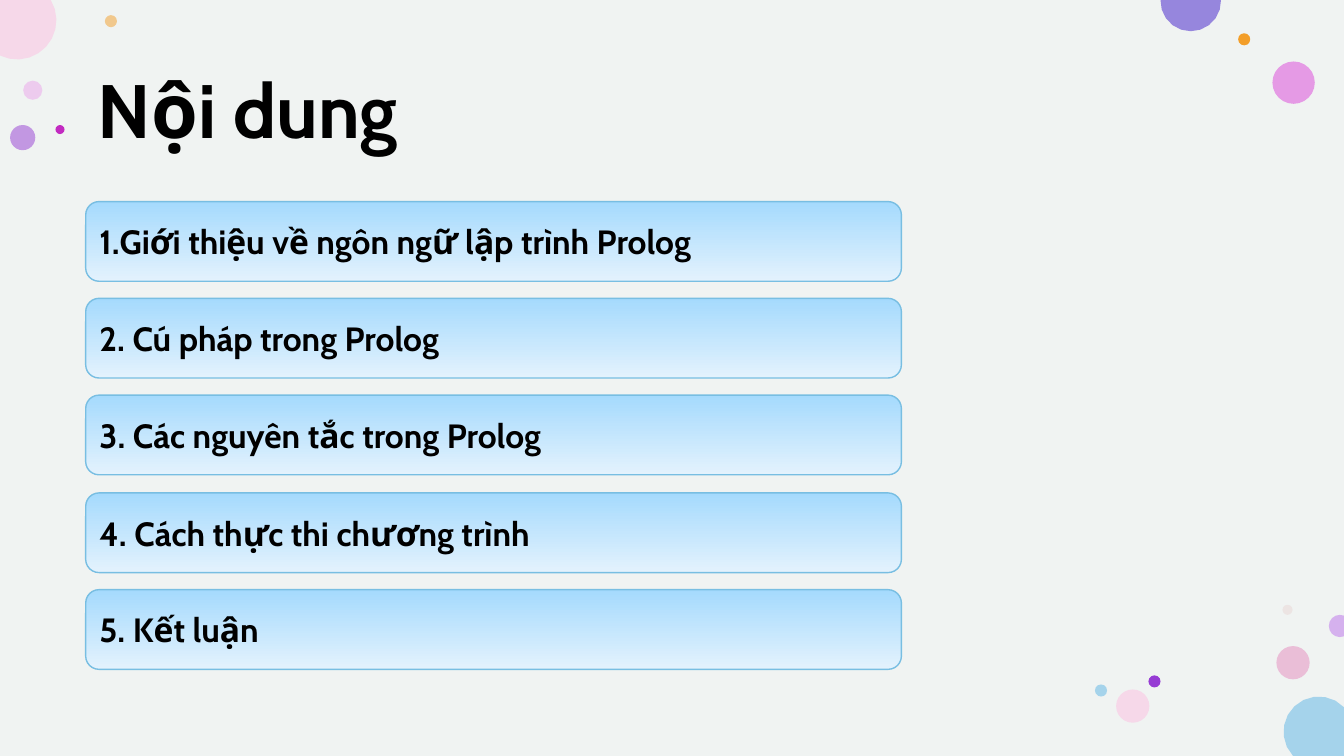
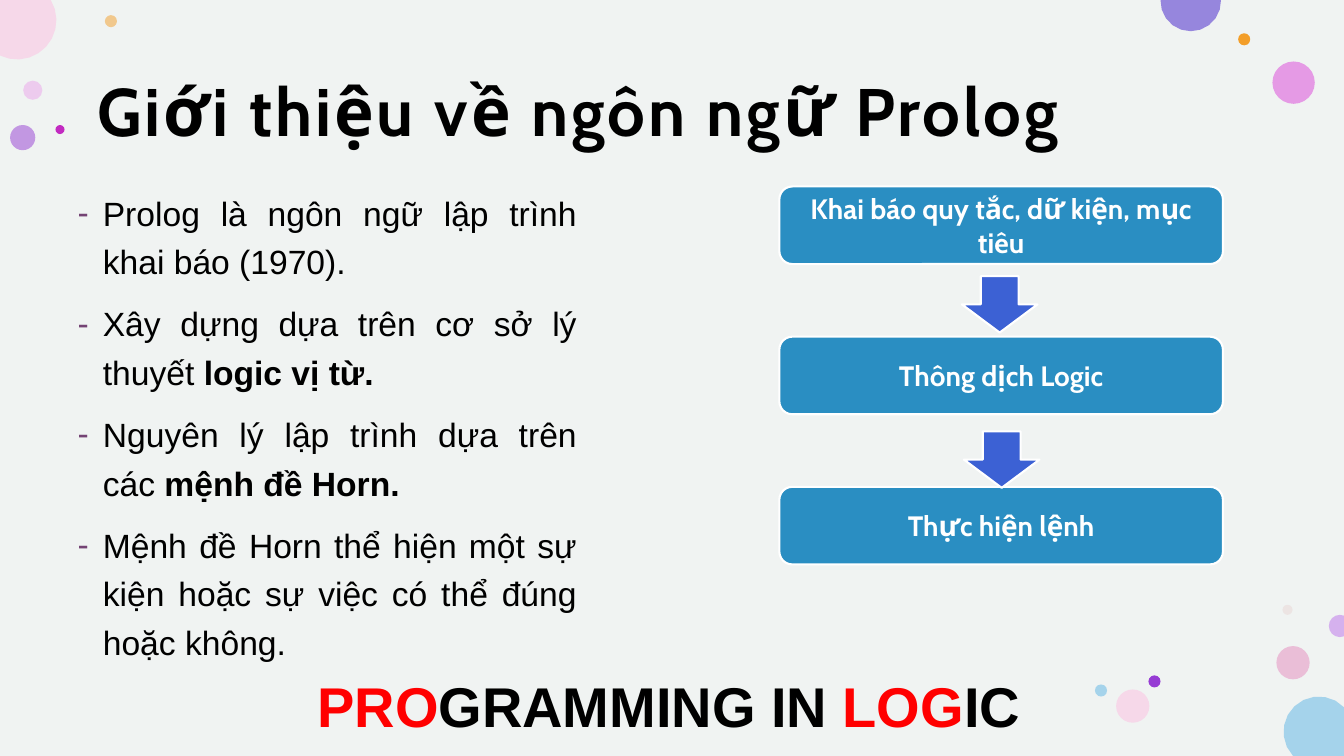
import math

import pptx
import pptx.dml.color
import pptx.enum.shapes
import pptx.enum.text
import pptx.oxml.ns
import pptx.util
from lxml import etree

SHAPE = pptx.enum.shapes.MSO_SHAPE
ALIGN = pptx.enum.text.PP_ALIGN
ANCHOR = pptx.enum.text.MSO_ANCHOR
AUTO_SIZE = pptx.enum.text.MSO_AUTO_SIZE
qn = pptx.oxml.ns.qn

PX = 9144
PAGE_WIDTH, PAGE_HEIGHT = 1333, 750
PAPER, BLACK, WHITE, RED = "F0F3F2", "000000", "FFFFFF", "FF0000"
ROW_TOP, ROW_BOTTOM, ROW_LINE = "A5DAFD", "E3F2FD", "78BEE2"
STEP_BLUE, ARROW_BLUE, BULLET_PURPLE = "2A8EC2", "3C61D4", "744374"
HEADING_FONT, BODY_FONT = "Cabin", "Arial"
INSETS = (12, 12, 12, 10)
ARC_PARTS = 10

DOTS = [
    (23, 80, 19, "EBA5EB", 50),
    (104, 15, 12, "F39E29", 50),
    (1266, 641, 33, "E58ABE", 50),
    (10, 124, 25, "963CD4", 50),
    (1262, 61, 42, "E278E1", 72),
    (1228, 33, 12, "F39E29", 100),
    (1272, 600, 10, "E3BEBE", 28),
    (1139, 670, 12, "963CD4", 100),
    (1107, 684, 33, "F6D8E9", 100),
    (1086, 679, 12, "A5D3EB", 100),
    (55, 124, 9, "C22AC1", 100),
]
EDGE_DOTS = [
    (1308, 726, 35, 137, 316, [(PAGE_WIDTH, PAGE_HEIGHT)], "A5D3EB"),
    (17, 20, 39, -31, 116, [(0, 0)], "F6D8E9"),
    (1181, 1, 30, -2, 182, [], "9686DD"),
    (1329, 621, 11, 69, 291, [], "D5B1EE"),
]
TOPICS = [
    "1.Giới thiệu về ngôn ngữ lập trình Prolog",
    "2. Cú pháp trong Prolog",
    "3. Các nguyên tắc trong Prolog",
    "4. Cách thực thi chương trình",
    "5. Kết luận",
]
FACTS = [
    [("Prolog là ngôn ngữ lập trình khai báo (1970).", False)],
    [("Xây dựng dựa trên cơ sở lý thuyết ", False), ("logic vị từ.", True)],
    [("Nguyên lý lập trình dựa trên các ", False), ("mệnh đề Horn.", True)],
    [("Mệnh đề Horn thể hiện một sự kiện hoặc sự việc có thể đúng hoặc không.", False)],
]
STEPS = ["Khai báo quy tắc, dữ kiện, mục tiêu", "Thông dịch Logic", "Thực hiện lệnh"]
ARROWS = [(954, 274), (956, 428)]
MOTTO = [("PRO", RED), ("GRAMMING IN ", BLACK), ("LOG", RED), ("IC", BLACK)]


def px(length):
    """Turn a length in px into EMU."""
    return pptx.util.Emu(round(length * PX))


def colour(code):
    """Turn a hex string into a colour."""
    return pptx.dml.color.RGBColor.from_string(code)


def paint(shape, fill, line=None, line_width=1, opacity=100):
    """Give a shape a plain fill, an optional line and no shadow."""
    shape.shadow.inherit = False
    shape.fill.solid()
    shape.fill.fore_color.rgb = colour(fill)
    if opacity < 100:
        tint = next(shape.element.iter(qn("a:srgbClr")))
        etree.SubElement(tint, qn("a:alpha"), val=str(opacity * 1000))
    if line:
        shape.line.color.rgb = colour(line)
        shape.line.width = pptx.util.Pt(line_width)
    else:
        shape.line.fill.background()


def format_span(span, font, size, ink=BLACK, bold=True):
    """Set the font of one run."""
    span.font.name = font
    span.font.size = pptx.util.Pt(size)
    span.font.color.rgb = colour(ink)
    span.font.bold = bold


def set_insets(frame):
    """Set the inner margins of a text frame."""
    frame.margin_left, frame.margin_top, frame.margin_right, frame.margin_bottom = map(px, INSETS)


def add_preset(page, kind, left, top, width, height):
    """Add a preset shape placed in px."""
    return page.shapes.add_shape(kind, px(left), px(top), px(width), px(height))


def add_edge_dot(page, center_x, center_y, radius, start, end, corners):
    """Add a circle cut off by the edges of the page, from its visible arc."""
    points = []
    for part in range(ARC_PARTS + 1):
        angle = math.radians(start + (end - start) * part / ARC_PARTS)
        x = min(max(center_x + radius * math.cos(angle), 0), PAGE_WIDTH)
        y = min(max(center_y + radius * math.sin(angle), 0), PAGE_HEIGHT)
        points.append((x, y))
    outline = [(px(x), px(y)) for x, y in points + corners]
    builder = page.shapes.build_freeform(*outline[0], scale=1.0)
    builder.add_line_segments(outline[1:], close=True)
    return builder.convert_to_shape()


def decorate_layout(layout, page):
    """Draw the paper and dots on a page and move them behind the layout's placeholders."""
    paper = add_preset(page, SHAPE.RECTANGLE, 0, 0, PAGE_WIDTH, PAGE_HEIGHT)
    paint(paper, PAPER)
    parts = [paper]
    for left, top, size, fill, opacity in DOTS:
        dot = add_preset(page, SHAPE.OVAL, left, top, size, size)
        paint(dot, fill, opacity=opacity)
        parts.append(dot)
    for *geometry, fill in EDGE_DOTS:
        dot = add_edge_dot(page, *geometry)
        paint(dot, fill)
        parts.append(dot)
    for position, part in enumerate(parts, start=2):
        layout.shapes.element.insert(position, part.element)


def set_title(page, text, size, spacing=0):
    """Place, fill and format the title; spacing is in hundredths of a point."""
    title = page.shapes.title
    title.left, title.top, title.width, title.height = map(px, (85, 40, 1166, 145))
    frame = title.text_frame
    frame.text = text
    frame.auto_size = AUTO_SIZE.NONE
    frame.vertical_anchor = ANCHOR.MIDDLE
    set_insets(frame)
    para = frame.paragraphs[0]
    para.alignment = ALIGN.LEFT
    para.line_spacing = 0.9
    format_span(para.runs[0], HEADING_FONT, size)
    if spacing:
        next(title.element.iter(qn("a:rPr"))).set("spc", str(spacing))


def label(shape, text, size, ink, alignment):
    """Write one bold paragraph in the middle of a shape's height."""
    frame = shape.text_frame
    frame.text = text
    frame.word_wrap = True
    frame.vertical_anchor = ANCHOR.MIDDLE
    para = frame.paragraphs[0]
    para.alignment = alignment
    format_span(para.runs[0], HEADING_FONT, size, ink)


def add_topic(page, top, text):
    """Add one gradient row of the contents list."""
    row = add_preset(page, SHAPE.ROUNDED_RECTANGLE, 85, top, 809, 79)
    paint(row, ROW_TOP, ROW_LINE)
    row.fill.gradient()
    row.fill.gradient_angle = 270
    for stop, code in zip(row.fill.gradient_stops, (ROW_TOP, ROW_BOTTOM)):
        stop.color.rgb = colour(code)
    label(row, text, 24, BLACK, ALIGN.LEFT)


def add_dash(para):
    """Give a paragraph a hanging dash bullet."""
    properties = para._p.get_or_add_pPr()
    properties.set("marL", str(px(25)))
    properties.set("indent", str(px(-25)))
    tint = etree.SubElement(properties, qn("a:buClr"))
    etree.SubElement(tint, qn("a:srgbClr"), val=BULLET_PURPLE)
    etree.SubElement(properties, qn("a:buFont"), typeface=BODY_FONT)
    etree.SubElement(properties, qn("a:buChar"), char="-")


def add_facts(page):
    """Add the justified list of facts."""
    box = page.shapes.add_textbox(px(65), px(171), px(519), px(419))
    frame = box.text_frame
    frame.word_wrap = True
    set_insets(frame)
    for index, pieces in enumerate(FACTS):
        para = frame.add_paragraph() if index else frame.paragraphs[0]
        para.alignment = ALIGN.JUSTIFY
        para.line_spacing = 1.2
        para.space_before = pptx.util.Pt(10)
        add_dash(para)
        for text, bold in pieces:
            span = para.add_run()
            span.text = text
            format_span(span, BODY_FONT, 24, bold=bold)


def add_motto(page):
    """Add the two-coloured line at the foot of the page."""
    box = page.shapes.add_textbox(px(305), px(661), px(725), px(77))
    frame = box.text_frame
    frame.word_wrap = False
    frame.auto_size = AUTO_SIZE.SHAPE_TO_FIT_TEXT
    for text, ink in MOTTO:
        span = frame.paragraphs[0].add_run()
        span.text = text
        format_span(span, BODY_FONT, 40, ink)


def add_flow(page):
    """Add the three steps and the arrows between them."""
    for index, text in enumerate(STEPS):
        step = add_preset(page, SHAPE.ROUNDED_RECTANGLE, 773, 185 + 149 * index, 440, 77)
        paint(step, STEP_BLUE, WHITE, 1.5)
        label(step, text, 20, WHITE, ALIGN.CENTER)
    for left, top in ARROWS:
        arrow = add_preset(page, SHAPE.DOWN_ARROW, left, top, 75, 56)
        paint(arrow, ARROW_BLUE, WHITE, 1.5)


def main():
    """Build and save the deck."""
    deck = pptx.Presentation()
    deck.slide_width, deck.slide_height = px(PAGE_WIDTH), px(PAGE_HEIGHT)
    layout = deck.slide_layouts[5]

    contents = deck.slides.add_slide(layout)
    decorate_layout(layout, contents)
    set_title(contents, "Nội dung", 54)
    for index, topic in enumerate(TOPICS):
        add_topic(contents, 200 + round(index * 385 / 4), topic)

    introduction = deck.slides.add_slide(layout)
    set_title(introduction, "Giới thiệu về ngôn ngữ Prolog", 48, spacing=210)
    add_facts(introduction)
    add_motto(introduction)
    add_flow(introduction)

    deck.save("out.pptx")


if __name__ == "__main__":
    main()
